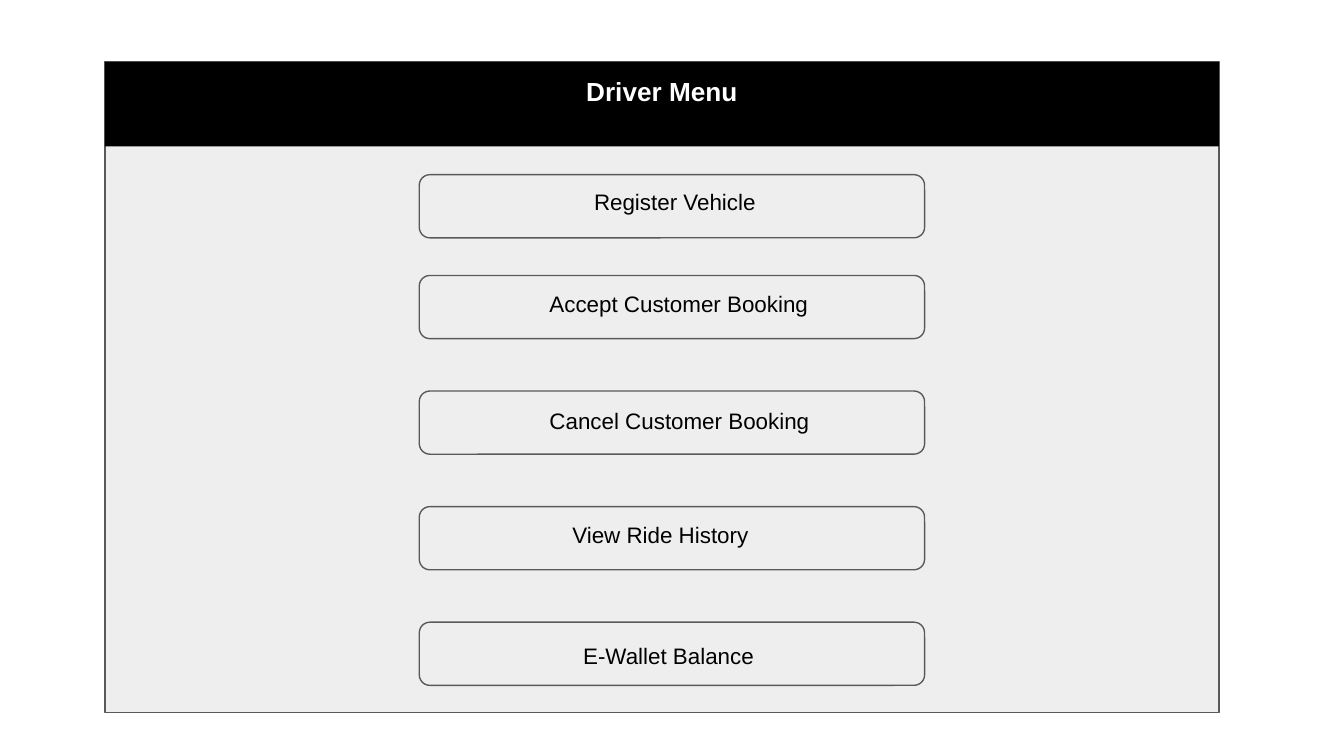
import pptx
import pptx.util
import pptx.dml.color
import pptx.enum.shapes
import pptx.enum.text
from pptx.util import Inches

SHAPE = pptx.enum.shapes.MSO_SHAPE
ALIGN = pptx.enum.text.PP_ALIGN


def paint(s, fill, line=None):
    """Give a shape a flat fill and a thin outline, or no outline."""
    s.fill.solid()
    s.fill.fore_color.rgb = pptx.dml.color.RGBColor.from_string(fill)
    if line:
        s.line.color.rgb = pptx.dml.color.RGBColor.from_string(line)
        s.line.width = pptx.util.Pt(0.75)
    else:
        s.line.fill.background()


def write(s, text, size=12, color="000000", bold=False, align=ALIGN.LEFT, indent=0):
    tf = s.text_frame
    tf.word_wrap = True
    tf.auto_size = pptx.enum.text.MSO_AUTO_SIZE.NONE
    tf.vertical_anchor = pptx.enum.text.MSO_ANCHOR.TOP
    tf.margin_left = Inches(0.1 + indent)
    tf.margin_right = tf.margin_top = tf.margin_bottom = Inches(0.1)
    p = tf.paragraphs[0]
    p.alignment = align
    r = p.add_run()
    r.text = text
    r.font.name = "Arial"
    r.font.size = pptx.util.Pt(size)
    r.font.bold = bold
    r.font.color.rgb = pptx.dml.color.RGBColor.from_string(color)


prs = pptx.Presentation()
prs.slide_width = Inches(10)
prs.slide_height = Inches(10 * 9 / 16)
slide = prs.slides.add_slide(prs.slide_layouts[5])

panel = slide.shapes.add_shape(
    SHAPE.RECTANGLE, Inches(0.78), Inches(0.46), Inches(8.29), Inches(4.84))
panel.shadow.inherit = False
paint(panel, "EEEEEE", "595959")

# The title bar sits in front of the panel and shares its top edge.
title = slide.shapes.title
panel.element.addnext(title.element)
title.left, title.top = panel.left, panel.top
title.width, title.height = panel.width, Inches(0.63)
paint(title, "000000")
write(title, "Driver Menu", size=14, color="FFFFFF", bold=True, align=ALIGN.CENTER)

for top in (1.3, 2.05, 2.91, 3.77, 4.63):
    button = slide.shapes.add_shape(
        SHAPE.ROUNDED_RECTANGLE, Inches(3.12), Inches(top), Inches(3.76), Inches(0.47))
    button.shadow.inherit = False
    paint(button, "EEEEEE", "595959")

# Label text, left, top, width, height and indent
labels = [
    ("Register Vehicle", 3.82, 1.3, 2.6, 0.26, 0.5),
    ("Accept Customer Booking", 3.99, 2.06, 2.6, 0.27, 0),
    ("Cancel Customer Booking", 3.99, 2.93, 2.27, 0.27, 0),
    ("View Ride History", 4.16, 3.78, 1.52, 0.27, 0),
    ("E-Wallet Balance", 4.24, 4.68, 1.52, 0.27, 0),
]
for text, left, top, width, height, indent in labels:
    label = slide.shapes.add_textbox(
        Inches(left), Inches(top), Inches(width), Inches(height))
    write(label, text, indent=indent)

prs.save("out.pptx")
